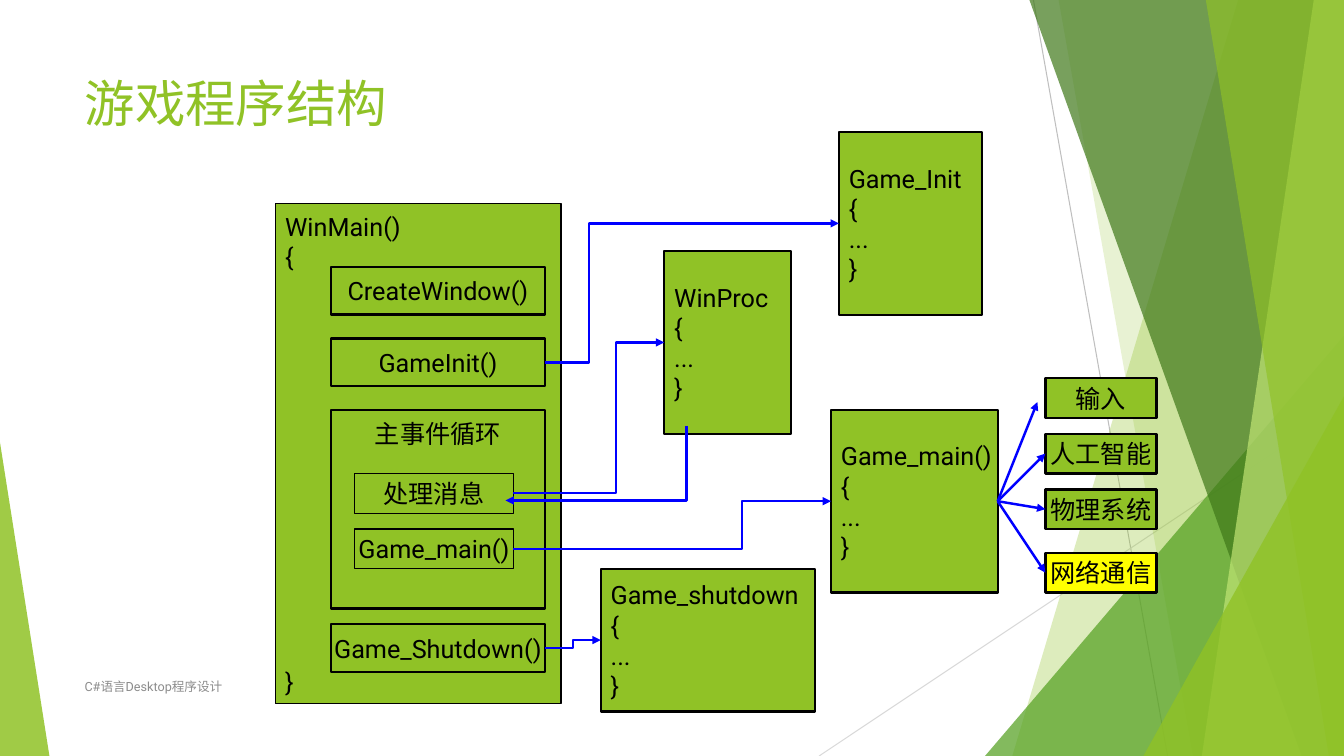
"""Build the game program structure slide: code blocks, call arrows and green facets."""
from lxml.etree import SubElement
from pptx import Presentation
from pptx.dml.color import RGBColor
from pptx.enum.shapes import MSO_CONNECTOR, MSO_SHAPE
from pptx.enum.text import MSO_ANCHOR, MSO_AUTO_SIZE, PP_ALIGN
from pptx.oxml.ns import qn
from pptx.util import Inches, Mm, Pt

COLOURS = {
    "green": "90C226", "leaf": "54A021", "forest": "3F7819", "lime": "C0E474",
    "yellow": "FFFF00", "black": "000000", "blue": "0000FF", "grey": "8C8C8C",
    "silver": "BFBFBF", "mist": "D9D9D9",
}
FONT = "Roboto"
CELL = Mm(2)
GRID_LEFT, GRID_TOP = Inches(2.73), Inches(2.02)

presentation = Presentation()
presentation.slide_width, presentation.slide_height = Inches(13.33), Inches(7.5)
width, height = presentation.slide_width, presentation.slide_height
slide = presentation.slides.add_slide(presentation.slide_layouts[5])
shapes = slide.shapes


def add_line(kind, begin, end, colour="blue", line_width=1.75, arrow=True):
    """Draw a connector between two (column, row) points of the grid."""
    connector = shapes.add_connector(
        kind,
        int(GRID_LEFT + begin[0] * CELL), int(GRID_TOP + begin[1] * CELL),
        int(GRID_LEFT + end[0] * CELL), int(GRID_TOP + end[1] * CELL))
    connector.line.color.rgb = RGBColor.from_string(COLOURS[colour])
    connector.line.width = Pt(line_width)
    if arrow:
        SubElement(connector.line._get_or_add_ln(), qn("a:tailEnd"), type="triangle")
    SubElement(connector._element.spPr, qn("a:effectLst"))
    return connector


def add_box(text, column, row, columns, rows, line_width, align=PP_ALIGN.CENTER,
            fill="green", preset=MSO_SHAPE.RECTANGLE):
    """Draw a labelled box on the grid."""
    box = shapes.add_shape(preset, int(GRID_LEFT + column * CELL), int(GRID_TOP + row * CELL),
                           columns * CELL, rows * CELL)
    box.shadow.inherit = False
    box.fill.solid()
    box.fill.fore_color.rgb = RGBColor.from_string(COLOURS[fill])
    box.line.color.rgb = RGBColor.from_string(COLOURS["black"])
    box.line.width = Pt(line_width)
    frame = box.text_frame
    frame.text = text
    frame.word_wrap = False
    frame.vertical_anchor = MSO_ANCHOR.MIDDLE
    for paragraph in frame.paragraphs:
        paragraph.alignment = align
        paragraph.font.name = FONT
        paragraph.font.size = Pt(18)
        paragraph.font.color.rgb = RGBColor.from_string(COLOURS["black"])
    return box


add_line(MSO_CONNECTOR.STRAIGHT, (95.5, -25.66), (112.4, 69.6), "silver", 0.75, False)
add_line(MSO_CONNECTOR.STRAIGHT, (134.6, 25.5), (68.5, 69.6), "mist", 0.75, False)

facets = [
    ((12.28, 10.04), "green", 30),
    ((10.5, 11.83), "green", 20),
    ((9.77, 3.33, 3.56, 1), "leaf", 72),
    ((10.21, 12.91), "forest", 70),
    ((13.03, 11.92), "lime", 70),
    ((11.96, 13.18), "green", 65),
    ((11.34, 3.93, 1.99, 1), "green", 80),
    ((0, 4.39, 0.49, 0), "green", 85),
]
for outline, colour, opacity in facets:
    if len(outline) == 2:
        top_x, bottom_x = map(Inches, outline)
        builder = shapes.build_freeform(top_x, 0)
        builder.add_line_segments([(width, 0), (width, height), (bottom_x, height)])
        facet = builder.convert_to_shape()
    else:
        left, top, base = map(Inches, outline[:3])
        facet = shapes.add_shape(MSO_SHAPE.ISOSCELES_TRIANGLE, left, top, base, height - top)
        facet.adjustments[0] = outline[3]
    facet.shadow.inherit = False
    facet.line.fill.background()
    facet.fill.solid()
    facet.fill.fore_color.rgb = RGBColor.from_string(COLOURS[colour])
    colour_element = facet._element.spPr.find(qn("a:solidFill"))[0]
    SubElement(colour_element, qn("a:alpha"), val=str(opacity * 1000))

title = shapes.title
title.left, title.top, title.width, title.height = map(Inches, (0.74, 0.67, 9.4, 1.44))
footer = shapes.add_textbox(*map(Inches, (0.74, 6.61, 6.89, 0.4)))
for shape, text, size, colour, anchor in [
    (title, "游戏程序结构", 36, "green", MSO_ANCHOR.TOP),
    (footer, "C#语言Desktop程序设计", 9, "grey", MSO_ANCHOR.MIDDLE),
]:
    frame = shape.text_frame
    frame.text = text
    frame.word_wrap = True
    frame.auto_size = MSO_AUTO_SIZE.NONE
    frame.vertical_anchor = anchor
    paragraph = frame.paragraphs[0]
    paragraph.alignment = PP_ALIGN.LEFT
    paragraph.font.name = FONT
    paragraph.font.size = Pt(size)
    paragraph.font.color.rgb = RGBColor.from_string(COLOURS[colour])

win_main = add_box("WinMain()\n{\n}", 0, 0, 36, 63, 0.75, PP_ALIGN.LEFT,
                   preset=MSO_SHAPE.FLOWCHART_PROCESS)
win_main.text_frame.paragraphs[2].space_before = Pt(282)

for text, row in [("Game_Shutdown()", 53), ("CreateWindow()", 8), ("GameInit()", 17)]:
    add_box(text, 7, row, 27, 6, 1.75)

event_loop = add_box("主事件循环", 7, 26, 27, 25, 1.75)
event_loop.text_frame.vertical_anchor = MSO_ANCHOR.TOP
event_loop.text_frame.margin_top = Inches(0.08)
for text, row in [("处理消息", 34), ("Game_main()", 41)]:
    add_box(text, 10, row, 20, 5, 0.75)

functions = {}
for name, column, row, columns, rows in [
    ("WinProc", 49, 6, 16, 23),
    ("Game_Init", 71, -9, 18, 23),
    ("Game_main()", 70, 26, 21, 23),
    ("Game_shutdown", 41, 46, 27, 18),
]:
    functions[name] = add_box(name + "\n{\n...\n}", column, row, columns, rows, 1.5, PP_ALIGN.LEFT)

tasks = [
    add_box(text, 97, row, 14, 5, 1.75, fill=fill)
    for text, row, fill in [("输入", 22, "green"), ("人工智能", 29, "green"),
                            ("物理系统", 36, "green"), ("网络通信", 44, "yellow")]
]

for begin, end, bend in [
    ((30, 43.5), (70, 37.5), 0.72),
    ((30, 36.5), (49, 17.5), 0.68),
    ((34, 20), (71, 2.5), 0.15),
    ((34, 56), (41, 55), 0.5),
]:
    call = add_line(MSO_CONNECTOR.ELBOW, begin, end)
    SubElement(call._element.spPr.prstGeom.find(qn("a:avLst")), qn("a:gd"),
               name="adj1", fmla=f"val {round(bend * 100000)}")

message_return = add_line(MSO_CONNECTOR.ELBOW, (35.7, 21.3), (45.1, 44.1))
message_return._element.spPr.prstGeom.set("prst", "bentConnector2")
message_return._element.spPr.find(qn("a:xfrm")).set("rot", str(90 * 60000))

for index, task in enumerate(tasks):
    arrow = add_line(MSO_CONNECTOR.STRAIGHT, (91, 37.5), (96, 25))
    arrow.begin_connect(functions["Game_main()"], 3)
    if index > 0:
        arrow.end_connect(task, 1)

presentation.save("out.pptx")
